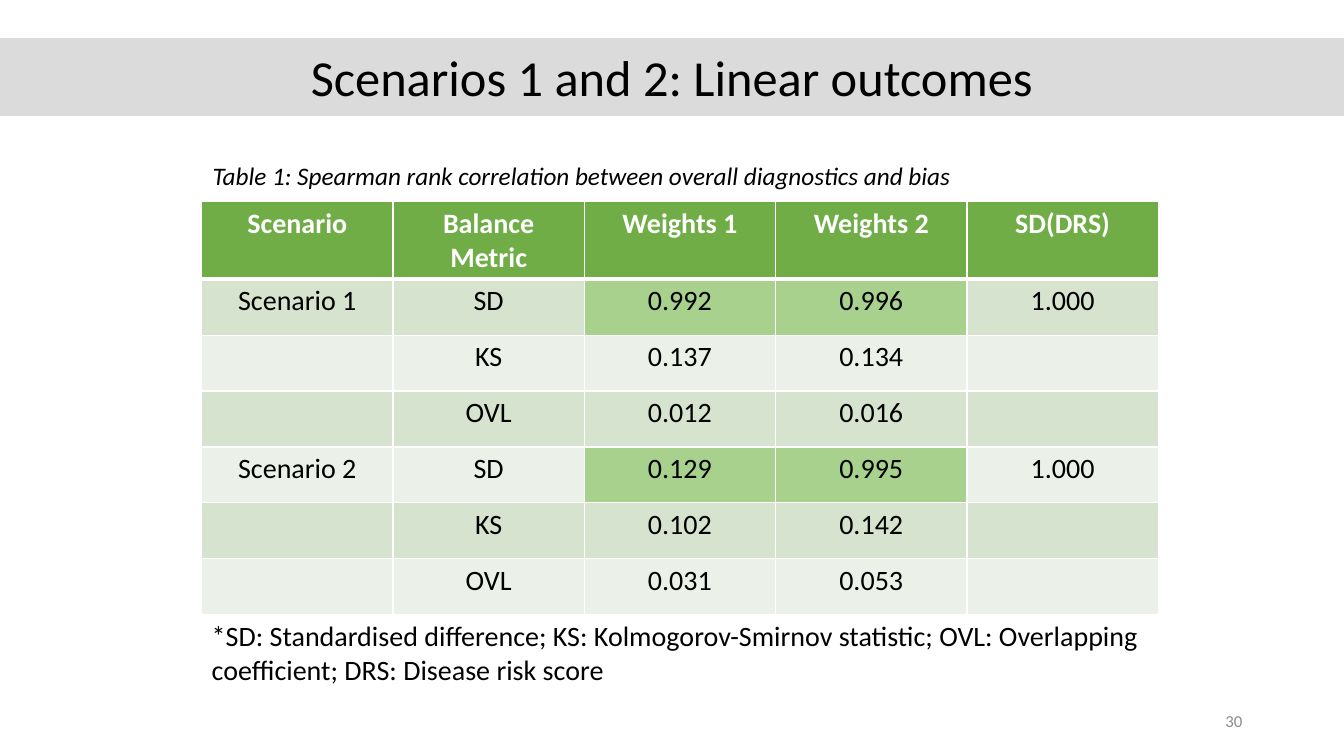
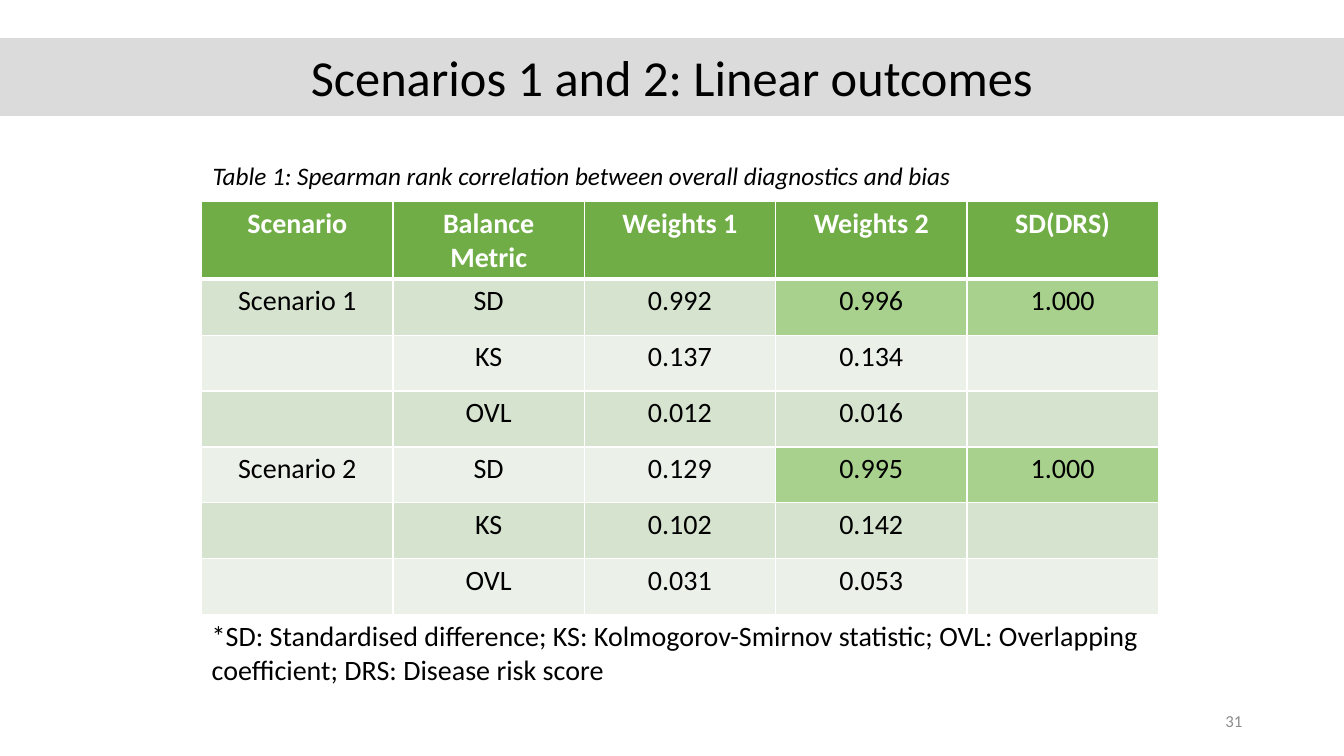
from lxml import etree
from pptx import Presentation
from pptx.dml.color import RGBColor
from pptx.enum.shapes import MSO_SHAPE
from pptx.enum.text import MSO_ANCHOR, PP_ALIGN
from pptx.oxml.ns import qn
from pptx.util import Inches, Pt

LEFT, MID, RIGHT = PP_ALIGN.LEFT, PP_ALIGN.CENTER, PP_ALIGN.RIGHT
TOP, CENTRE = MSO_ANCHOR.TOP, MSO_ANCHOR.MIDDLE
RECT = MSO_SHAPE.RECTANGLE

BLACK = RGBColor(0x00, 0x00, 0x00)
WHITE = RGBColor(0xFF, 0xFF, 0xFF)
GREY = RGBColor(0x8C, 0x8C, 0x8C)
BAND = RGBColor(0xDB, 0xDB, 0xDB)
GREEN = RGBColor(0x70, 0xAD, 0x47)
MARK = RGBColor(0xA9, 0xD1, 0x8E)
STRIPES = RGBColor(0xEB, 0xF1, 0xE9), RGBColor(0xD5, 0xE3, 0xCF)

TITLE = "Scenarios 1 and 2: Linear outcomes"
CAPTION = "Table 1: Spearman rank correlation between overall diagnostics and bias"
NOTE = ("*SD: Standardised difference; KS: Kolmogorov-Smirnov statistic; "
        "OVL: Overlapping coefficient; DRS: Disease risk score")
HEAD = ("Scenario", "Balance Metric", "Weights 1", "Weights 2", "SD(DRS)")
BODY = [
    ("Scenario 1", "SD", "0.992", "0.996", "1.000"),
    ("", "KS", "0.137", "0.134", ""),
    ("", "OVL", "0.012", "0.016", ""),
    ("Scenario 2", "SD", "0.129", "0.995", "1.000"),
    ("", "KS", "0.102", "0.142", ""),
    ("", "OVL", "0.031", "0.053", ""),
]
SLIDES = [
    {"number": 30, "marked": ("Weights 1", "Weights 2")},
    {"number": 31, "marked": ("Weights 2", "SD(DRS)")},
]

WIDE, HIGH = 13.33, 7.5
GRID = (2, 2, 9.49, 4.87)
TALL = 0.77


def write(frame, text, size=20, color=BLACK, align=MID, anchor=TOP,
          bold=False, italic=False):
    frame.word_wrap = True
    frame.vertical_anchor = anchor
    para = frame.paragraphs[0]
    para.alignment = align
    run = para.add_run()
    run.text = text
    font = run.font
    font.name, font.size, font.color.rgb = "Calibri", Pt(size), color
    font.bold, font.italic = bold, italic


def place(*box):
    return [Inches(part) for part in box]


def add_text(slide, box, text, **style):
    write(slide.shapes.add_textbox(*place(*box)).text_frame, text, **style)


def add_band(slide):
    band = slide.shapes.add_shape(RECT, *place(0, 0.38, WIDE, 0.76))
    band.shadow.inherit = False
    band.fill.solid()
    band.fill.fore_color.rgb = BAND
    band.line.color.rgb = BAND
    band.line.width = Pt(1)
    write(band.text_frame, TITLE, size=36, anchor=CENTRE)


def edge(cell, top, base):
    props = cell._tc.get_or_add_tcPr()
    for side, width in (("L", 1), ("R", 1), ("T", top), ("B", base)):
        line = etree.SubElement(props, qn("a:ln" + side), w=str(Pt(width)))
        fill = etree.SubElement(line, qn("a:solidFill"))
        etree.SubElement(fill, qn("a:srgbClr"), val=str(WHITE))


def add_grid(slide, marked):
    rows = [HEAD, *BODY, (NOTE, "", "", "", "")]
    last = len(rows) - 1
    table = slide.shapes.add_table(len(rows), len(HEAD), *place(*GRID)).table
    table.first_row = table.horz_banding = False
    for col in table.columns:
        col.width = Inches(GRID[2] / len(HEAD))
    for r, row in enumerate(rows):
        ends = r in (0, last)
        table.rows[r].height = Inches(
            TALL if ends else (GRID[3] - 2 * TALL) / len(BODY))
        for c, text in enumerate(row):
            cell = table.cell(r, c)
            edge(cell, 3 if r == 1 else 1, 3 if r == 0 else 1)
            if r == last:
                cell.fill.background()
            else:
                hit = row[1] == "SD" and HEAD[c] in marked
                cell.fill.solid()
                cell.fill.fore_color.rgb = (
                    GREEN if r == 0 else MARK if hit else STRIPES[r % 2])
            if text:
                write(cell.text_frame, text, bold=r == 0,
                      color=WHITE if r == 0 else BLACK,
                      align=LEFT if r == last else MID)
    table.cell(last, 0).merge(table.cell(last, len(HEAD) - 1))


def main():
    deck = Presentation()
    deck.slide_width, deck.slide_height = place(WIDE, HIGH)
    for page in SLIDES:
        slide = deck.slides.add_slide(deck.slide_layouts[6])
        add_text(slide, (9.42, 6.95, 3, 0.4), str(page["number"]),
                 size=12, color=GREY, align=RIGHT, anchor=CENTRE)
        add_band(slide)
        add_grid(slide, page["marked"])
        add_text(slide, (2.01, 1.54, GRID[2], 0.4), CAPTION,
                 size=18, align=LEFT, italic=True)
    deck.save("out.pptx")


if __name__ == "__main__":
    main()
